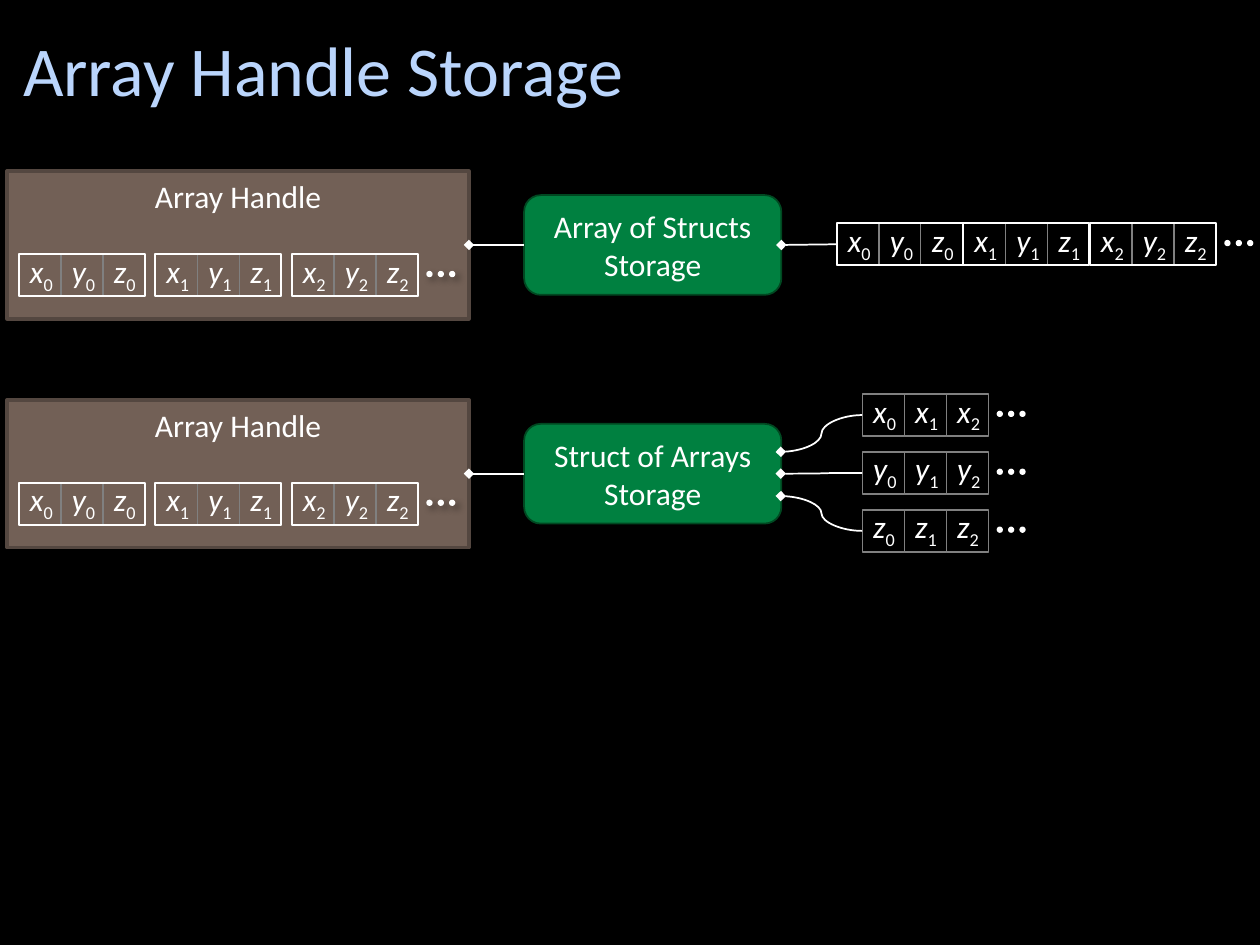
"""Build the Array Handle Storage slide comparing two memory layouts."""
from lxml import etree
from pptx import Presentation
from pptx.dml.color import RGBColor
from pptx.enum.shapes import MSO_CONNECTOR as CONN, MSO_SHAPE as SHAPE
from pptx.enum.text import MSO_ANCHOR as ANCHOR, PP_ALIGN as ALIGN
from pptx.oxml import parse_xml
from pptx.oxml.ns import nsdecls, qn
from pptx.util import Pt

BLACK = RGBColor(0x00, 0x00, 0x00)
WHITE = RGBColor(0xFF, 0xFF, 0xFF)
GRAY = RGBColor(0x80, 0x80, 0x80)
TITLE_BLUE = RGBColor(0xBA, 0xD5, 0xFC)
BROWN = RGBColor(0x72, 0x60, 0x56)
DARK_BROWN = RGBColor(0x54, 0x47, 0x40)
GREEN = RGBColor(0x00, 0x80, 0x40)
DARK_GREEN = RGBColor(0x00, 0x48, 0x21)
FONT = "Calibri"
CELL = 24
DOT_SHADOW = (
    f'<a:outerShdw {nsdecls("a")} blurRad="50800" dist="38100" dir="2700000">'
    '<a:srgbClr val="000000"><a:alpha val="40000"/></a:srgbClr></a:outerShdw>'
)


def add_box(shapes, kind, left, top, width, height, fill=None, line=None, weight=1, text=""):
    sp = shapes.add_shape(kind, Pt(left), Pt(top), Pt(width), Pt(height))
    sp.shadow.inherit = False
    if fill is None:
        sp.fill.background()
    else:
        sp.fill.solid()
        sp.fill.fore_color.rgb = fill
    if line is None:
        sp.line.fill.background()
    else:
        sp.line.color.rgb = line
        sp.line.width = Pt(weight)
    if text:
        p = sp.text_frame.paragraphs[0]
        p.text = text
        p.alignment = ALIGN.CENTER
        p.font.name, p.font.size, p.font.color.rgb = FONT, Pt(18), WHITE
    return sp


def add_row(shapes, groups, left, top, pitch, outlined):
    for g, labels in enumerate(groups):
        start = left + g * pitch
        for i, (name, index) in enumerate(labels):
            x = start + i * CELL
            tb = shapes.add_textbox(Pt(x - 0.8), Pt(top - 5), Pt(30), Pt(29))
            tf = tb.text_frame
            tf.word_wrap = True
            tf.margin_right = 0
            p = tf.paragraphs[0]
            p.font.name, p.font.size, p.font.color.rgb = FONT, Pt(18), WHITE
            r = p.add_run()
            r.text = name
            r.font.italic = True
            r = p.add_run()
            r.text = index
            r._r.get_or_add_rPr().set("baseline", "-25000")
            edge = add_box(shapes, SHAPE.RECTANGLE, x, top, CELL, CELL, line=GRAY, weight=0.75)
        if outlined:
            edge = add_box(shapes, SHAPE.RECTANGLE, start, top, 3 * CELL, CELL, line=WHITE)
    end = start + 3 * CELL
    for i in range(3):
        dot = add_box(shapes, SHAPE.OVAL, end + 4.8 + 6.5 * i, top + 9.5, 3.6, 3.6, fill=WHITE)
        dot._element.spPr.find(qn("a:effectLst")).append(parse_xml(DOT_SHADOW))
    return edge


prs = Presentation()
prs.slide_width, prs.slide_height = Pt(720), Pt(540)
s = prs.slides.add_slide(prs.slide_layouts[5])
s.background.fill.solid()
s.background.fill.fore_color.rgb = BLACK

title = s.shapes.title
title.left, title.top, title.width, title.height = Pt(6), Pt(0), Pt(636), Pt(78)
title.text_frame.text = "Array Handle Storage"
title.text_frame.vertical_anchor = ANCHOR.MIDDLE
p = title.text_frame.paragraphs[0]
p.alignment = ALIGN.LEFT
p.font.name, p.font.size, p.font.color.rgb = FONT, Pt(40), TITLE_BLUE

structs = [[(name, index) for name in "xyz"] for index in "012"]
arrays = [[(name, index) for index in "012"] for name in "xyz"]

links = []
for top, text in ((97.8, "Array of Structs Storage"), (228.5, "Struct of Arrays Storage")):
    group = s.shapes.add_group_shape()
    handle = add_box(group.shapes, SHAPE.RECTANGLE, 4, top, 264, 84.4,
                     BROWN, DARK_BROWN, 2, "Array Handle")
    handle.text_frame.vertical_anchor = ANCHOR.TOP
    add_row(group.shapes, structs, 10.8, top + 47.5, 78, True)
    storage = add_box(s.shapes, SHAPE.ROUNDED_RECTANGLE, 299.5, top + 13.7, 147, 57,
                      GREEN, DARK_GREEN, 1, text)
    storage.text_frame.vertical_anchor = ANCHOR.MIDDLE
    storage.text_frame.word_wrap = True
    link = s.shapes.add_connector(CONN.STRAIGHT, 0, 0, 0, 0)
    link.begin_connect(handle, 3)
    link.end_connect(storage, 1)
    links.append(link)

group = s.shapes.add_group_shape()
add_row(group.shapes, structs, 478.2, 127.6, 72.3, True)
links.append(s.shapes.add_connector(CONN.STRAIGHT, Pt(446.5), Pt(140), Pt(478.2), Pt(139.6)))

for i, (labels, start) in enumerate(zip(arrays, (258.2, 270.7, 283.5))):
    top = 225.2 + 33.1 * i
    group = s.shapes.add_group_shape()
    add_row(group.shapes, [labels], 492.7, top, 0, False)
    links.append(s.shapes.add_connector(CONN.CURVE, Pt(446.2), Pt(start),
                                        Pt(492.7), Pt(top + CELL / 2)))

for link in links:
    link.line.color.rgb = WHITE
    link.line.width = Pt(1)
    etree.SubElement(link.line._get_or_add_ln(), qn("a:headEnd"), type="diamond")
    etree.SubElement(link._element.spPr, qn("a:effectLst"))

prs.save("out.pptx")
